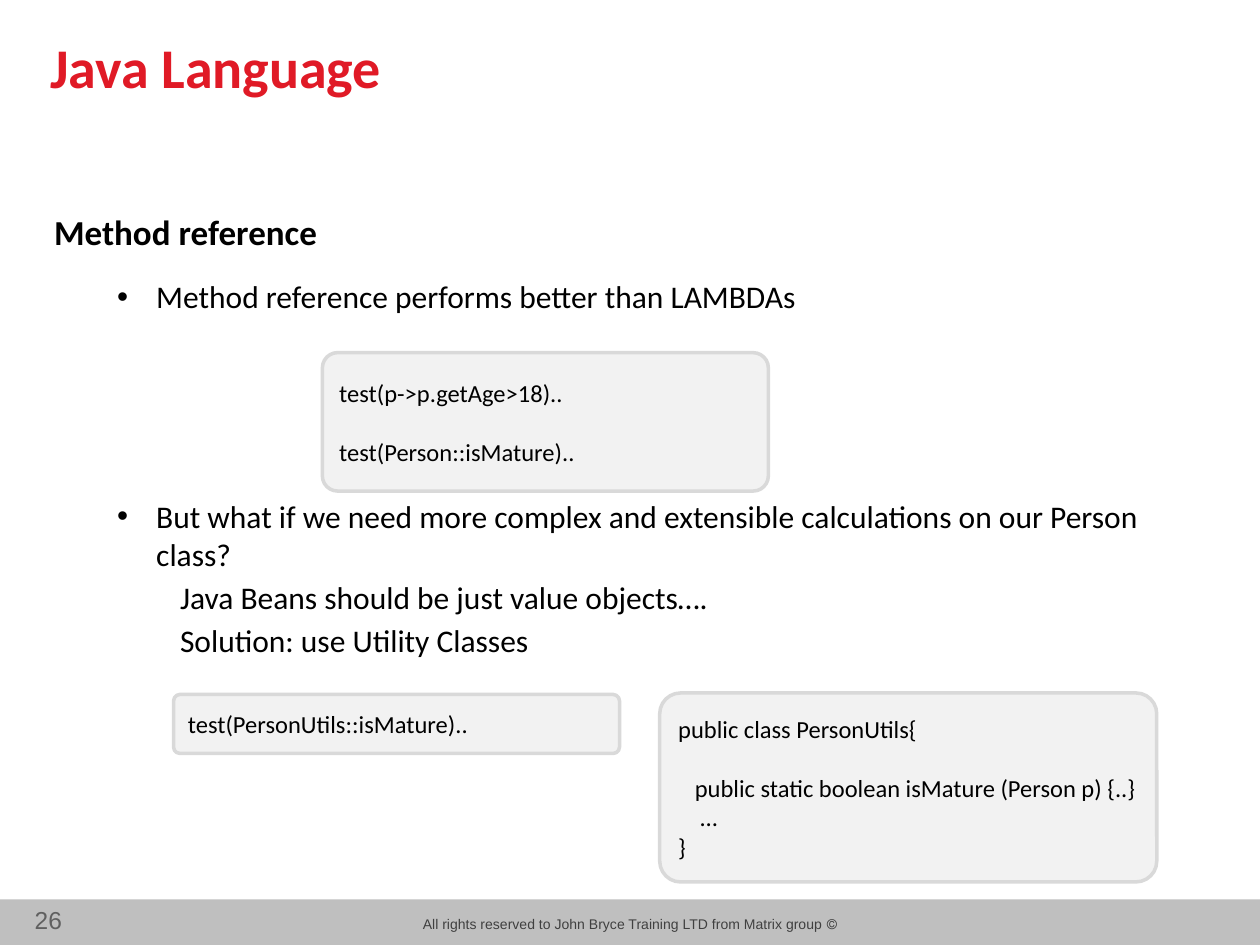
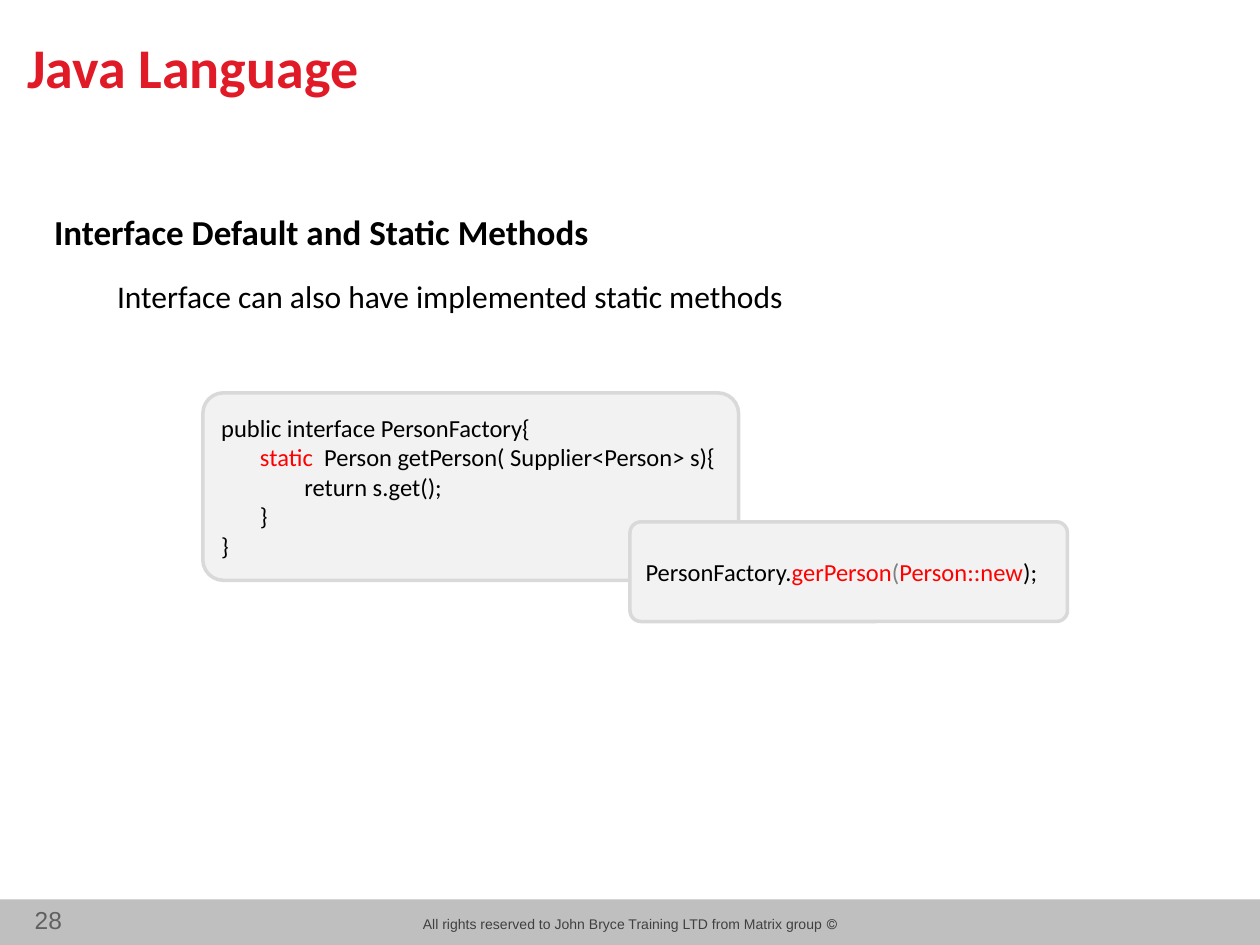
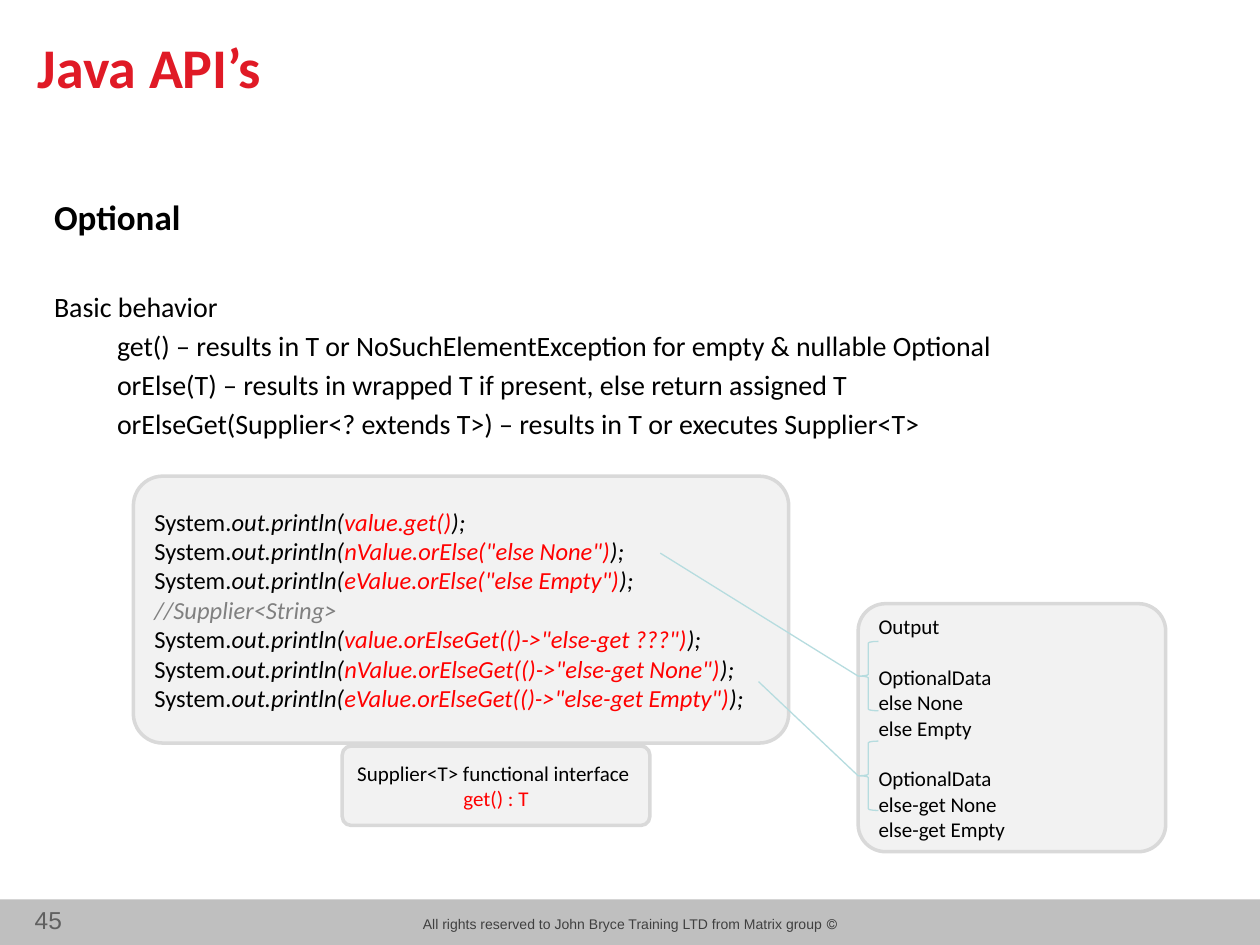
from lxml import etree
from pptx import Presentation
from pptx import util as u
from pptx.dml.color import RGBColor
from pptx.enum import shapes, text
from pptx.oxml.ns import qn

COLORS = {
    "title": "E01A26", "text": "000000", "key": "FF0000", "comment": "808080",
    "band": "BFBFBF", "copyright": "404040", "number": "606060",
    "box": "F2F2F2", "border": "D9D9D9", "pointer": "B6DCDF",
}
BODY_FONT, FOOTER_FONT = "Calibri", "Arial"
LINE_HEIGHT = 1.22  # line height of the body font, as a share of its size
PLAIN, BULLET, NESTED = (1.27, 0), (2.06, -0.79), (2.54, 0)  # margin and indent


def rgb(name):
    return RGBColor.from_string(COLORS[name])


def place(x, y, w, h):
    return u.Cm(x), u.Cm(y), u.Cm(w), u.Cm(h)


def add_run(p, words, size, color="text", bold=False, italic=False, font=BODY_FONT):
    r = p.add_run()
    r.text = words
    r.font.name, r.font.size = font, u.Pt(size)
    r.font.bold, r.font.italic = bold, italic
    r.font.color.rgb = rgb(color)


def next_paragraph(tf, first):
    return tf.paragraphs[0] if first else tf.add_paragraph()


def add_text_frame(s, *box):
    tf = s.shapes.add_textbox(*place(*box)).text_frame
    tf.word_wrap = True
    return tf


def add_preset(s, kind, box, fill=None, line=None, width=0.75):
    sp = s.shapes.add_shape(kind, *place(*box))
    sp.shadow.inherit = False
    if fill:
        sp.fill.solid()
        sp.fill.fore_color.rgb = rgb(fill)
    else:
        sp.fill.background()
    if line:
        sp.line.color.rgb = rgb(line)
        sp.line.width = u.Pt(width)
    else:
        sp.line.fill.background()
    return sp


def add_footer(s, number):
    add_preset(s, shapes.MSO_SHAPE.RECTANGLE, (0, 18.13, 25.4, 0.92), "band")
    p = add_text_frame(s, 8.08, 18.34, 9.25, 0.61).paragraphs[0]
    p.alignment = text.PP_ALIGN.CENTER
    p._p.get_or_add_pPr().set("rtl", "1")
    add_run(p, "© All rights reserved to John Bryce Training LTD from Matrix group",
            8, "copyright", font=FOOTER_FONT)
    p = add_text_frame(s, -0.23, 18.11, 1.73, 0.86).paragraphs[0]
    p.alignment = text.PP_ALIGN.RIGHT
    add_run(p, str(number), 14, "number", font=FOOTER_FONT)


def add_base_slide(prs, number, title, title_x):
    s = prs.slides.add_slide(prs.slide_layouts[6])
    add_footer(s, number)
    p = add_text_frame(s, title_x, 0.53, 22.4, 1.6).paragraphs[0]
    add_run(p, title, 32, "title", bold=True)
    return s


def add_body(s, y, heading, items, size=18):
    """Each item is (words, (margin, indent), space before in points)."""
    tf = add_text_frame(s, 0.84, y, 23.65, 10.8)
    add_run(tf.paragraphs[0], heading, 20, bold=True)
    for words, level, before in items:
        p = tf.add_paragraph()
        p.space_before = u.Pt(before)
        margin, indent = level
        pPr = p._p.get_or_add_pPr()
        pPr.set("marL", str(u.Cm(margin)))
        pPr.set("indent", str(u.Cm(indent)))
        if level == BULLET:
            etree.SubElement(pPr, qn("a:buFont")).set("typeface", "Arial")
            etree.SubElement(pPr, qn("a:buChar")).set("char", "•")
        add_run(p, words, size)


def add_code_box(s, box, lines, size=14, centered=()):
    """A line is a string or a list of run tuples; "" leaves one line free."""
    sp = add_preset(s, shapes.MSO_SHAPE.ROUNDED_RECTANGLE, box, "box", "border", 2)
    sp.adjustments[0] = 0.11
    tf = sp.text_frame
    tf.word_wrap = True
    tf.vertical_anchor = text.MSO_ANCHOR.MIDDLE
    gap = 0
    for i, line in enumerate(lines):
        if not line:
            gap += size * LINE_HEIGHT
            continue
        p = next_paragraph(tf, i == 0)
        p.alignment = text.PP_ALIGN.CENTER if i in centered else text.PP_ALIGN.LEFT
        if gap:
            p.space_before = u.Pt(gap)
            gap = 0
        for words, *style in [(line,)] if isinstance(line, str) else line:
            add_run(p, words, size, *style)


def print_line(argument):
    return [("System.",), ("out.println(", "text", False, True),
            (argument, "key", False, True), (");", "text", False, True)]


def add_brace_pointer(s, y, tip_x, tip_y):
    """A left brace from y down, with a line from its middle to the tip."""
    x, h = 17.3, 1.4
    add_preset(s, shapes.MSO_SHAPE.LEFT_BRACE, (x, y, 0.41, h), line="pointer")
    c = s.shapes.add_connector(shapes.MSO_CONNECTOR.STRAIGHT,
                               *place(x, y + h / 2, tip_x, tip_y))
    c.line.color.rgb = rgb("pointer")
    c.line.width = u.Pt(0.75)
    etree.SubElement(c._element.spPr, qn("a:effectLst"))


def add_method_reference(prs):
    s = add_base_slide(prs, 26, "Java Language", 0.76)
    add_body(s, 4.11, "Method reference", [
        ("Method reference performs better than LAMBDAs", BULLET, 14.5),
        ("But what if we need more complex and extensible calculations "
         "on our Person class?", BULLET, 103.7),
        ("Java Beans should be just value objects….", NESTED, 3.2),
        ("Solution: use Utility Classes", NESTED, 3.2),
    ])
    add_code_box(s, (6.5, 7.11, 8.99, 2.79),
                 ["test(p->p.getAge>18)..", "", "test(Person::isMature).."])
    add_code_box(s, (3.5, 14, 8.99, 1.19), ["test(PersonUtils::isMature).."])
    add_code_box(s, (13.3, 13.97, 10.02, 3.81), [
        "public class PersonUtils{",
        "",
        "   public static boolean isMature (Person p) {..}",
        "    …",
        "}",
    ])


def add_static_methods(prs):
    s = add_base_slide(prs, 28, "Java Language", 0.3)
    add_body(s, 4.11, "Interface Default and Static Methods",
             [("Interface can also have implemented static methods", PLAIN, 14.5)])
    add_code_box(s, (4.09, 7.92, 10.8, 3.78), [
        "public interface PersonFactory{",
        [("       static  ", "key"), ("Person getPerson( Supplier<Person> s){",)],
        "               return s.get();",
        "       }",
        "}",
    ])
    add_code_box(s, (12.7, 10.52, 8.82, 2.01), [
        [("PersonFactory.",), ("gerPerson", "key"), ("(", "comment"),
         ("Person::new", "key"), (");",)],
    ])


def add_optional(prs):
    s = add_base_slide(prs, 45, "Java API’s", 0.51)
    add_body(s, 3.81, "Optional", [
        ("Basic behavior", (0, 0), 30),
        ("get() – results in T or NoSuchElementException for empty & nullable Optional",
         PLAIN, 3),
        ("orElse(T) – results in wrapped T if present, else return assigned T", PLAIN, 3),
        ("orElseGet(Supplier<? extends T>) – results in T or executes Supplier<T>",
         PLAIN, 3),
    ], size=16)
    add_code_box(s, (6.9, 15.04, 6.2, 1.6),
                 ["Supplier<T> functional interface", [("get() : T", "key")]],
                 size=12, centered=(1,))
    add_code_box(s, (2.69, 9.6, 13.21, 5.38), [
        print_line('value.get()'),
        print_line('nValue.orElse("else None")'),
        print_line('eValue.orElse("else Empty")'),
        [("//Supplier<String>", "comment", False, True)],
        print_line('value.orElseGet(()->"else-get ???")'),
        print_line('nValue.orElseGet(()->"else-get None")'),
        print_line('eValue.orElseGet(()->"else-get Empty")'),
    ])
    add_code_box(s, (17.3, 12.17, 6.2, 5), [
        "Output", "",
        "OptionalData", "else None", "else Empty", "",
        "OptionalData", "else-get None", "else-get Empty",
    ], size=12)
    add_brace_pointer(s, 12.93, 13.31, 11.15)
    add_brace_pointer(s, 14.94, 15.29, 13.74)


def main():
    prs = Presentation()
    prs.slide_width, prs.slide_height = u.Cm(25.4), u.Cm(19.05)
    add_method_reference(prs)
    add_static_methods(prs)
    add_optional(prs)
    prs.save("out.pptx")


if __name__ == "__main__":
    main()
